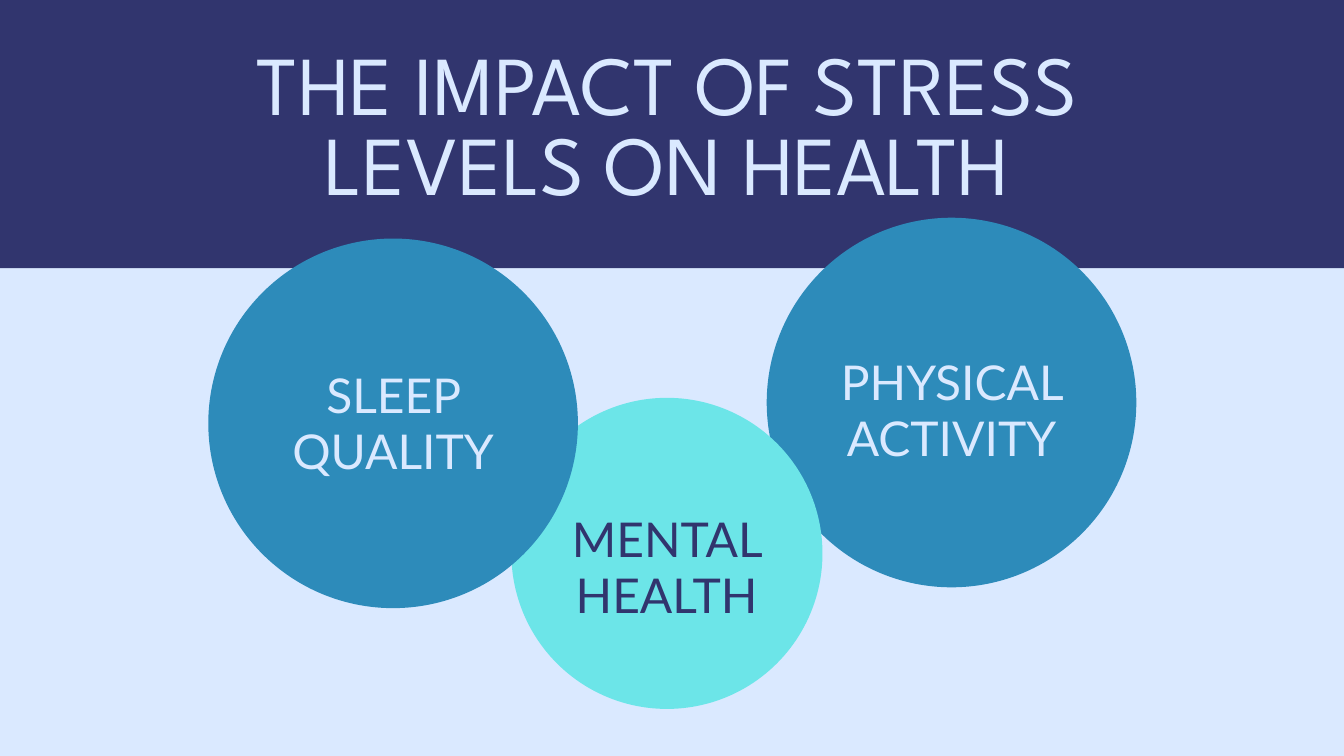
import pptx
import pptx.util
import pptx.dml.color
import pptx.enum.shapes
import pptx.enum.text

PX = 9144  # 100 px to the inch
HUES = {"pale": "DAE9FF", "navy": "31356E", "blue": "2D8BBA", "aqua": "6CE5E8"}
KINDS = pptx.enum.shapes.MSO_SHAPE


def paint(fill, hue):
    fill.solid()
    fill.fore_color.rgb = pptx.dml.color.RGBColor.from_string(HUES[hue])


def write(box, text, font="Lato", size=51.4, lead=59.6, hue="pale"):
    frame = box.text_frame
    frame.word_wrap = True
    frame.auto_size = pptx.enum.text.MSO_AUTO_SIZE.NONE
    frame.vertical_anchor = pptx.enum.text.MSO_ANCHOR.TOP
    frame.margin_left = frame.margin_right = 0
    frame.margin_top = frame.margin_bottom = 0
    line = frame.paragraphs[0]
    line.alignment = pptx.enum.text.PP_ALIGN.CENTER
    line.line_spacing = pptx.util.Pt(lead)
    run = line.add_run()
    run.text = text
    run.font.name = font
    run.font.size = pptx.util.Pt(size)
    paint(run.font.fill, hue)


deck = pptx.Presentation()
deck.slide_width, deck.slide_height = 2000 * PX, 1125 * PX
slide = deck.slides.add_slide(deck.slide_layouts[5])
paint(slide.background.fill, "pale")

# Title
title = slide.shapes.title
title.left, title.top = 257 * PX, 77 * PX
title.width, title.height = 1471 * PX, 247 * PX
write(title, "THE IMPACT OF STRESS LEVELS ON HEALTH",
      font="League Spartan", size=89.8, lead=86.2)

# Header band, placed behind the title
band = slide.shapes.add_shape(KINDS.RECTANGLE, 0, 0, deck.slide_width, 399 * PX)
band.shadow.inherit = False
paint(band.fill, "navy")
band.line.fill.background()
title.element.addprevious(band.element)

# Circles from back to front: left, top, size, fill, label, its top, width and hue
discs = [
    (1141, 324, 550, "blue", "PHYSICAL ACTIVITY", 528, 500, "pale"),
    (761, 592, 463, "aqua", "MENTAL HEALTH", 761, 400, "navy"),
    (310, 355, 550, "blue", "SLEEP QUALITY", 547, 500, "pale"),
]
for left, top, size, fill, text, head, wide, hue in discs:
    disc = slide.shapes.add_shape(KINDS.OVAL, left * PX, top * PX, size * PX, size * PX)
    disc.shadow.inherit = False
    paint(disc.fill, fill)
    disc.line.fill.background()

    # Label centred across its circle
    start = left + (size - wide) // 2
    label = slide.shapes.add_textbox(start * PX, head * PX, wide * PX, 166 * PX)
    write(label, text, hue=hue)

deck.save("out.pptx")
